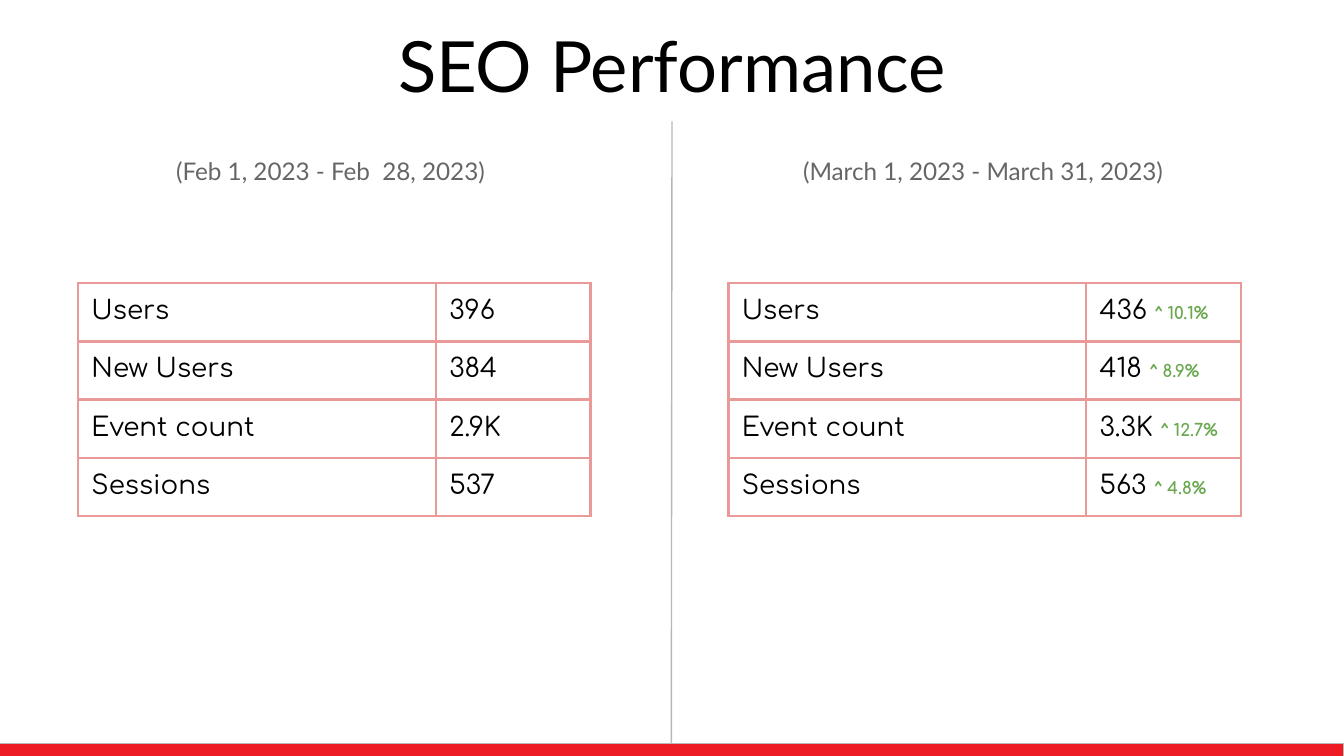
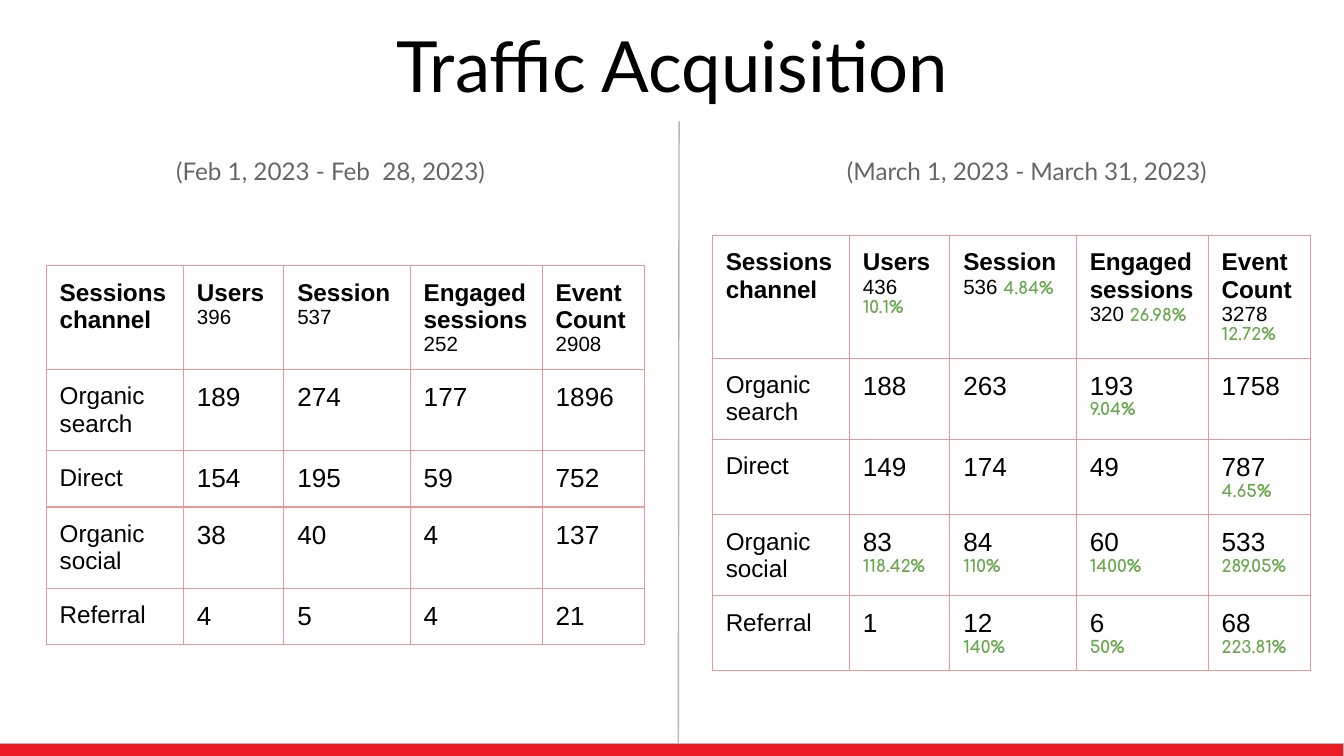
from lxml import etree
from pptx import Presentation
from pptx.dml.color import RGBColor
from pptx.enum.shapes import MSO_CONNECTOR, MSO_SHAPE
from pptx.enum.text import MSO_ANCHOR, MSO_AUTO_SIZE, PP_ALIGN
from pptx.oxml.ns import qn
from pptx.util import Pt

RECTANGLE = MSO_SHAPE.RECTANGLE
STRAIGHT = MSO_CONNECTOR.STRAIGHT
TOP, BOTTOM = MSO_ANCHOR.TOP, MSO_ANCHOR.BOTTOM
CENTER = PP_ALIGN.CENTER
NO_AUTOSIZE = MSO_AUTO_SIZE.NONE

BLACK, GREY, GREEN, RED = "000000", "666666", "6AA84F", "ED1C24"
WHITE, RULE, PINK = "FFFFFF", "B7B7B7", "EA9999"
INSET = 7.2
BAND_TOP = 398.2
TITLE_BOX = (24.5, 15.1, 671, 49)
FEBRUARY = "(Feb 1, 2023 - Feb  28, 2023)"
MARCH = "(March 1, 2023 - March 31, 2023)"
FEBRUARY_BOX = (70.5, 76.3, 213, 30.2)

TITLE = {"name": "Lato", "size": 37.8, "color": BLACK}
PERIOD = {"name": "Lato", "size": 13, "color": GREY}
METRIC = {"name": "Comfortaa", "size": 14, "color": BLACK}
GROWTH = {"name": "Comfortaa", "size": 9, "color": GREEN, "bold": True}
HEADING = {"name": "Arial", "size": 13, "color": BLACK, "bold": True}
TOTAL = {"name": "Arial", "size": 11, "color": BLACK}
CHANNEL = {"name": "Arial", "size": 13, "color": BLACK}
COUNT = {"name": "Arial", "size": 14, "color": BLACK}

METRIC_GRID = {"columns": (191.75, 82.75), "rows": (31.2,) * 4, "border": 1.5}
CHANNEL_GRID = {"columns": (73.5, 53.8, 67.75, 70.7, 54.9),
                "rows": (54.7, 43.2, 29.5, 43.2, 29.5), "border": 0.75}

FEBRUARY_METRICS = [("Users", "396"), ("New Users", "384"),
                    ("Event count", "2.9K"), ("Sessions", "537")]
MARCH_METRICS = [("Users", "436 |^ 10.1%"), ("New Users", "418 |^ 8.9%"),
                 ("Event count", "3.3K |^ 12.7%"), ("Sessions", "563 |^ 4.8%")]
FEBRUARY_CHANNELS = [
    ("Sessions channel", "Users\n396", "Session\n537", "Engaged sessions\n252", "Event\nCount\n2908"),
    ("Organic\nsearch", "189", "274", "177", "1896"),
    ("Direct", "154", "195", "59", "752"),
    ("Organic\nsocial", "38", "40", "4", "137"),
    ("Referral", "4", "5", "4", "21"),
]
MARCH_CHANNELS = [
    ("Sessions channel", "Users\n436 |10.1%", "Session\n536 |4.84%",
     "Engaged sessions\n320 |26.98%", "Event\nCount\n3278 |12.72%"),
    ("Organic\nsearch", "188", "263", "193\n|9.04%", "1758"),
    ("Direct", "149", "174", "49", "787\n|4.65%"),
    ("Organic\nsocial", "83| 118.42%", "84\n|110%", "60\n|1400%", "533\n|289.05%"),
    ("Referral", "1", "12\n|140%", "6\n|50%", "68\n|223.81%"),
]


def color(value):
    """Turn a hex string into a colour."""
    return RGBColor.from_string(value)


def points(values):
    """Turn numbers into lengths in points."""
    return [Pt(value) for value in values]


def add_span(para, text, style):
    """Add a run of text in the given style."""
    span = para.add_run()
    span.text = text
    formats = {"bold": False, **style, "size": Pt(style["size"])}
    span.font.color.rgb = color(formats.pop("color"))
    for name, value in formats.items():
        setattr(span.font, name, value)


def fill_frame(frame, text, style, anchor):
    """Write one centred line into a text frame."""
    formats = {"word_wrap": True, "auto_size": NO_AUTOSIZE, "vertical_anchor": anchor}
    formats.update({f"margin_{side}": Pt(INSET) for side in ("left", "top", "right", "bottom")})
    for name, value in formats.items():
        setattr(frame, name, value)
    para = frame.paragraphs[0]
    para.alignment = CENTER
    add_span(para, text, style)


def add_rectangle(page, box, line, fill=None):
    """Add a thinly outlined rectangle, filled or clear."""
    shape = page.shapes.add_shape(RECTANGLE, *points(box))
    shape.shadow.inherit = False
    shape.line.color.rgb = color(line)
    shape.line.width = Pt(0.75)
    if fill:
        shape.fill.solid()
        shape.fill.fore_color.rgb = color(fill)
    else:
        shape.fill.background()
    return shape


def add_period(page, box, text):
    """Add the date range above a table."""
    fill_frame(add_rectangle(page, box, WHITE).text_frame, text, PERIOD, TOP)


def add_divider(page, band, top_x, foot_x=None):
    """Add the dividing line, joined to the band unless a foot is given."""
    ends = points((foot_x or top_x, BAND_TOP, top_x, 65))
    divider = page.shapes.add_connector(STRAIGHT, *ends)
    if foot_x is None:
        divider.begin_connect(band, 0)
    divider.line.color.rgb = color(RULE)
    divider.line.width = Pt(0.75)
    etree.SubElement(divider.element.spPr, qn("a:effectLst"))


def set_borders(cell, width):
    """Draw the four borders of a cell and clear its fill."""
    properties = cell._tc.get_or_add_tcPr()
    for side in "LRTB":
        line = etree.SubElement(properties, qn(f"a:ln{side}"), w=str(int(Pt(width))))
        solid = etree.SubElement(line, qn("a:solidFill"))
        etree.SubElement(solid, qn("a:srgbClr"), val=PINK)
    cell.fill.background()


def metric_style(row, column, text):
    """Give the style of a metric cell."""
    return METRIC


def channel_style(row, column, text):
    """Give the style of a channel cell by its place."""
    if row == 0:
        return TOTAL if text.strip().isdigit() else HEADING
    return COUNT if column else CHANNEL


def add_grid(page, left, top, grid, records, pick_style):
    """Add a table; a bar in a line starts its growth figure."""
    columns, rows = grid["columns"], grid["rows"]
    box = points((left, top, sum(columns), sum(rows)))
    table = page.shapes.add_table(len(rows), len(columns), *box).table
    table.first_row = table.horz_banding = False
    for column, width in zip(table.columns, columns):
        column.width = Pt(width)
    for row, height in zip(table.rows, rows):
        row.height = Pt(height)
    for r, record in enumerate(records):
        for c, text in enumerate(record):
            cell = table.cell(r, c)
            for side in ("left", "top", "right", "bottom"):
                setattr(cell, f"margin_{side}", Pt(INSET))
            set_borders(cell, grid["border"])
            frame = cell.text_frame
            for number, line in enumerate(text.split("\n")):
                para = frame.add_paragraph() if number else frame.paragraphs[0]
                value, _, growth = line.partition("|")
                if value:
                    add_span(para, value, pick_style(r, c, value))
                if growth:
                    add_span(para, growth, GROWTH)


def add_page(deck, title, march_box):
    """Add a page with its title, band and date ranges."""
    page = deck.slides.add_slide(deck.slide_layouts[6])
    heading = page.shapes.add_textbox(*points(TITLE_BOX))
    fill_frame(heading.text_frame, title, TITLE, BOTTOM)
    band = add_rectangle(page, (-0.7, BAND_TOP, 720.7, 7.2), RULE, RED)
    add_period(page, march_box, MARCH)
    add_period(page, FEBRUARY_BOX, FEBRUARY)
    return page, band


def build_performance(deck):
    """Build the page that compares the site metrics."""
    page, band = add_page(deck, "SEO Performance", (420, 76.3, 213, 30.2))
    add_divider(page, band, 360)
    for left, records in ((41.8, FEBRUARY_METRICS), (390.2, MARCH_METRICS)):
        add_grid(page, left, 151.7, METRIC_GRID, records, metric_style)


def build_traffic(deck):
    """Build the page that compares the traffic channels."""
    page, band = add_page(deck, "Traffic Acquisition", (420, 76.3, 260, 46))
    add_divider(page, band, 363.8, 363.4)
    for left, top, records in ((24.8, 142.3, FEBRUARY_CHANNELS), (381.6, 126.2, MARCH_CHANNELS)):
        add_grid(page, left, top, CHANNEL_GRID, records, channel_style)


def main():
    """Build and save the deck."""
    deck = Presentation()
    deck.slide_width, deck.slide_height = points((720, 405))
    build_performance(deck)
    build_traffic(deck)
    deck.save("out.pptx")


if __name__ == "__main__":
    main()
